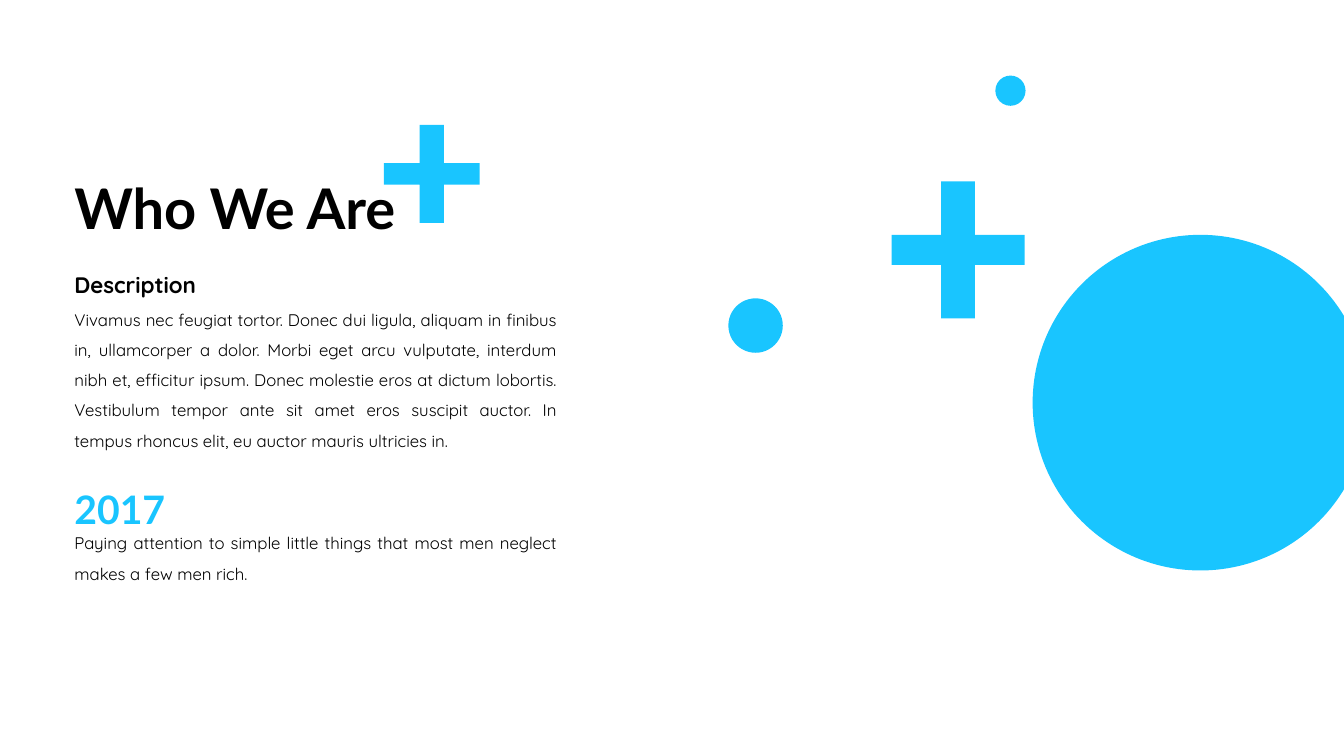
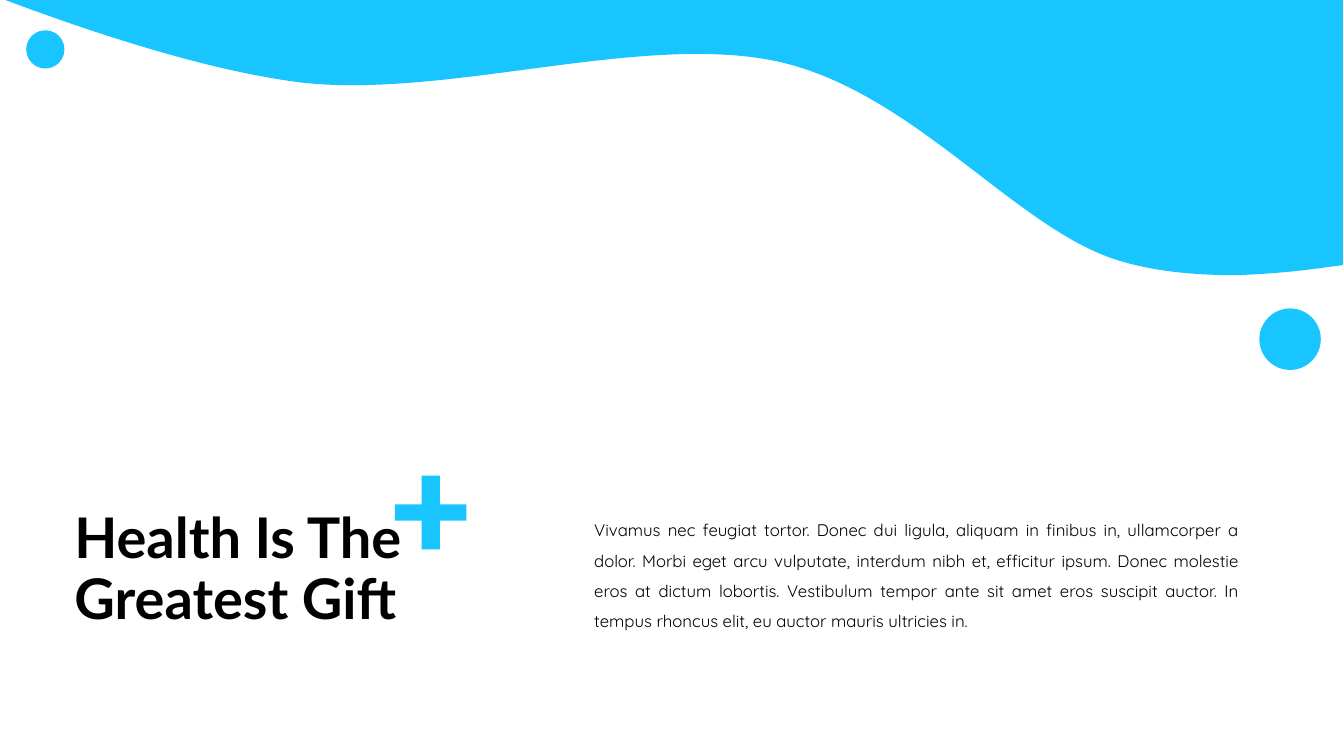
from pptx import Presentation
from pptx.dml.color import RGBColor
from pptx.enum.shapes import MSO_SHAPE
from pptx.enum.text import MSO_ANCHOR, MSO_AUTO_SIZE, PP_ALIGN
from pptx.oxml.ns import qn
from pptx.oxml.xmlchemy import OxmlElement
from pptx.util import Inches, Pt

COLORS = {"accent": "19C5FF", "ink": "000000", "paper": "FFFFFF"}
HEADING_FONT, BODY_FONT = "Lato", "Quicksand"
MARGIN = 0.64
TITLE_SIZE = (5.09, 1.45)
ABOUT = (
    "Vivamus nec feugiat tortor. Donec dui ligula, aliquam in finibus in, "
    "ullamcorper a dolor. Morbi eget arcu vulputate, interdum nibh et, "
    "efficitur ipsum. Donec molestie eros at dictum lobortis. Vestibulum "
    "tempor ante sit amet eros suscipit auctor. In tempus rhoncus elit, "
    "eu auctor mauris ultricies in."
)
WAVE_START = (12.28, 2.73)
WAVE_SEGMENTS = [
    [(12.54, 2.72), (12.8, 2.7), (13.03, 2.67)],
    [(13.33, 2.63)],
    [(13.33, -0.02)],
    [(0, -0.02)],
    [(0.16, 0.04)],
    [(1, 0.35), (2.1, 0.71), (3, 0.82)],
    [(4.45, 0.98), (6.37, 0.32), (7.72, 0.61)],
    [(9.07, 0.91), (10.07, 2.26), (11.09, 2.58)],
    [(11.47, 2.7), (11.89, 2.73), WAVE_START],
]


def color(name):
    """Return a palette colour."""
    return RGBColor.from_string(COLORS[name])


def paint(shape):
    """Give a decoration its flat accent fill."""
    shape.shadow.inherit = False
    shape.fill.solid()
    shape.fill.fore_color.rgb = color("accent")
    shape.line.fill.background()


def add_text(slide, box, text, size=12, font=BODY_FONT, ink="ink", bold=False,
             align=PP_ALIGN.JUSTIFY, spacing=1.5, anchor=MSO_ANCHOR.TOP,
             fit=MSO_AUTO_SIZE.SHAPE_TO_FIT_TEXT):
    """Place one formatted paragraph in a box given in inches."""
    frame = slide.shapes.add_textbox(*map(Inches, box)).text_frame
    frame.word_wrap = True
    frame.auto_size = fit
    frame.vertical_anchor = anchor
    paragraph = frame.paragraphs[0]
    paragraph.alignment = align
    paragraph.line_spacing = spacing
    run = paragraph.add_run()
    run.text = text
    run.font.size = Pt(size)
    run.font.name = font
    run.font.bold = bold
    run.font.color.rgb = color(ink)


def add_title(slide, top, text):
    """Place the slide title at the left margin."""
    add_text(slide, (MARGIN, top, *TITLE_SIZE), text, size=40,
             font=HEADING_FONT, bold=True, align=PP_ALIGN.LEFT, spacing=0.9,
             anchor=MSO_ANCHOR.MIDDLE, fit=MSO_AUTO_SIZE.NONE)


def add_dot(slide, left, top, diameter):
    """Draw an accent circle."""
    box = map(Inches, (left, top, diameter, diameter))
    paint(slide.shapes.add_shape(MSO_SHAPE.OVAL, *box))


def add_outline(slide, start, segments):
    """Draw a closed outline of lines (one point) and curves (three points)."""
    builder = slide.shapes.build_freeform(*map(Inches, start))
    points = [point for segment in segments for point in segment]
    builder.add_line_segments(
        [(Inches(x), Inches(y)) for x, y in points], close=True)
    outline = builder.convert_to_shape()
    lines = iter(list(outline.element.iter(qn("a:lnTo"))))
    for segment in segments:
        steps = [next(lines) for _ in segment]
        if len(steps) == 3:
            curve = OxmlElement("a:cubicBezTo")
            steps[0].addprevious(curve)
            for step in steps:
                curve.append(step[0])
                step.getparent().remove(step)
    paint(outline)


def add_plus(slide, left, top, width, height):
    """Draw a plus whose arms are set by the box proportions."""
    x0, x3, y0, y3 = left, left + width, top, top + height
    x1, x2 = left + 0.373 * width, left + 0.627 * width
    y1, y2 = top + 0.39 * height, top + 0.61 * height
    corners = [
        (x2, y0), (x2, y1), (x3, y1), (x3, y2), (x2, y2), (x2, y3),
        (x1, y3), (x1, y2), (x0, y2), (x0, y1), (x1, y1), (x1, y0),
    ]
    add_outline(slide, corners[-1], [[corner] for corner in corners])


def add_wave(slide, left, top):
    """Draw the wavy band along the upper edge."""
    def shift(point):
        """Move a point into the band's box."""
        return left + point[0], top + point[1]

    add_outline(slide, shift(WAVE_START),
                [[shift(point) for point in part] for part in WAVE_SEGMENTS])


def add_profile(slide, left, top, width):
    """Stack the description and the year with its motto."""
    add_text(slide, (left, top + 0.41, width, 1.6), ABOUT)
    add_text(slide, (left, top, 2.96, 0.5), "Description", size=16, bold=True)
    add_text(slide, (left, top + 2.02, 1.36, 0.8), "2017", size=28,
             font=HEADING_FONT, ink="accent", bold=True)
    add_text(slide, (left, top + 2.63, width, 0.7),
             "Paying attention to simple little things that most men neglect "
             "makes a few men rich.")


def new_slide(deck):
    """Add a blank slide on the paper colour."""
    slide = deck.slides.add_slide(deck.slide_layouts[6])
    slide.background.fill.solid()
    slide.background.fill.fore_color.rgb = color("paper")
    return slide


def build_who_we_are(deck):
    """Build the introduction slide."""
    slide = new_slide(deck)
    add_dot(slide, 10.25, 2.33, 3.33)
    add_profile(slide, MARGIN, 2.51, 4.99)
    add_plus(slide, 3.81, 1.24, 0.95, 0.97)
    add_title(slide, 1.37, "Who We Are")
    add_plus(slide, 8.85, 1.8, 1.32, 1.36)
    add_dot(slide, 7.23, 2.96, 0.54)
    add_dot(slide, 9.88, 0.75, 0.3)


def build_greatest_gift(deck):
    """Build the health statement slide."""
    slide = new_slide(deck)
    add_wave(slide, 0, 0)
    add_dot(slide, 12.5, 3.06, 0.61)
    add_plus(slide, 3.92, 4.72, 0.71, 0.73)
    add_text(slide, (5.8, 5.01, 6.6, 1.3), ABOUT)
    add_dot(slide, 0.26, 0.3, 0.38)
    add_title(slide, 4.94, "Health Is The Greatest Gift")


def main():
    """Build and save the deck."""
    deck = Presentation()
    deck.slide_width = Inches(13.34)
    deck.slide_height = Inches(7.5)
    build_who_we_are(deck)
    build_greatest_gift(deck)
    deck.save("out.pptx")


main()
